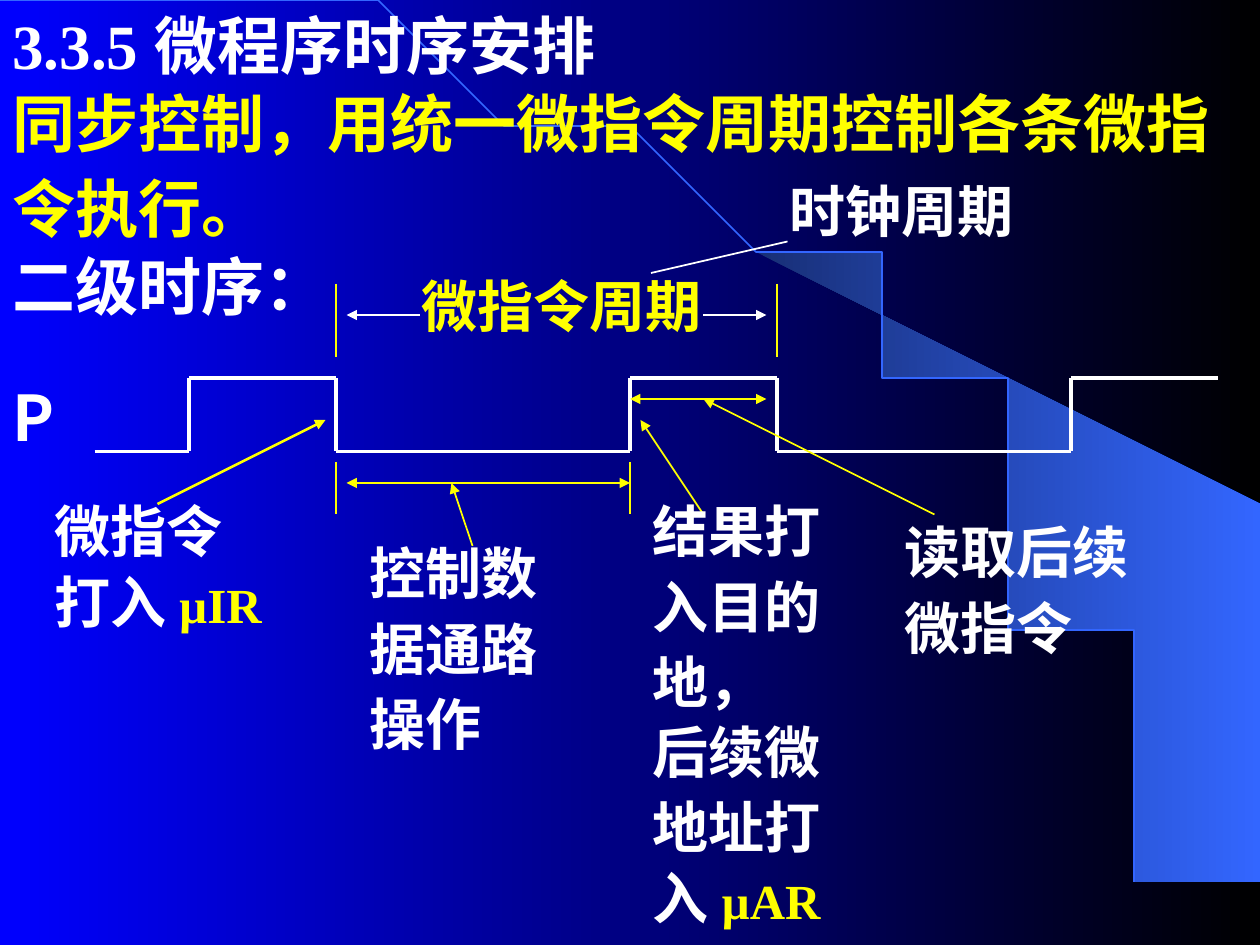
from itertools import pairwise
from math import asin, cos, pi, sin

from lxml import etree
from pptx import Presentation
from pptx.dml.color import RGBColor
from pptx.enum.shapes import MSO_CONNECTOR
from pptx.enum.text import MSO_AUTO_SIZE
from pptx.oxml.ns import qn
from pptx.util import Inches, Pt

STRAIGHT = MSO_CONNECTOR.STRAIGHT
GROW = MSO_AUTO_SIZE.SHAPE_TO_FIT_TEXT

WHITE = RGBColor(0xFF, 0xFF, 0xFF)
YELLOW = RGBColor(0xFF, 0xFF, 0x00)
BLUE = RGBColor(0x00, 0x00, 0xFF)
BLACK = RGBColor(0x00, 0x00, 0x00)
NAVY = RGBColor(0x18, 0x2F, 0x76)
SKY = RGBColor(0x33, 0x66, 0xFF)

SANS = "Noto Sans CJK SC"
SERIF = "Times New Roman"

COLUMNS, ROWS = 120, 90
WIDTH, HEIGHT = Inches(10), Inches(7.5)
ARC_WIDTH, ARC_HEIGHT = 9.2, 7.49
HIGH, LOW = 36, 43
EDGES = [18, 32, 60, 74, 102]


def x_at(column):
    return round(WIDTH * column / COLUMNS)


def y_at(row):
    return round(HEIGHT * row / ROWS)


def fill_gradient(fill, start, end):
    fill.gradient()
    fill.gradient_angle = 0
    for stop, color, position in zip(fill.gradient_stops, (start, end), (0, 1)):
        stop.color.rgb = color
        stop.position = position


def arc_points(start, end, steps=60):
    angles = [start + (end - start) * i / steps for i in range(steps + 1)]
    return [(ARC_WIDTH * sin(a), ARC_HEIGHT * (1 - cos(a))) for a in angles]


def add_outline(slide, points, close):
    builder = slide.shapes.build_freeform(*points[0], scale=Inches(1))
    builder.add_line_segments(points[1:], close=close)
    outline = builder.convert_to_shape()
    outline.shadow.inherit = False
    return outline


def add_backdrop(slide):
    fill_gradient(slide.background.fill, BLUE, BLACK)
    tangent = asin(5.89 / ARC_WIDTH)
    corners = [(9.99, 7.49), (9.99, 4.23)]
    beam = add_outline(slide, arc_points(tangent, pi / 2) + corners, True)
    fill_gradient(beam.fill, NAVY, SKY)
    beam.line.fill.background()
    horizon = add_outline(slide, arc_points(0, pi / 2), False)
    horizon.fill.background()
    horizon.line.color.rgb = SKY
    horizon.line.width = Pt(1)


def add_line(slide, start, end, color, width=1, head=False, tail=False):
    connector = slide.shapes.add_connector(
        STRAIGHT, x_at(start[0]), y_at(start[1]), x_at(end[0]), y_at(end[1]))
    connector.line.color.rgb = color
    connector.line.width = Pt(width)
    stroke = connector.line._get_or_add_ln()
    for tag, present in (("a:headEnd", head), ("a:tailEnd", tail)):
        if present:
            etree.SubElement(stroke, qn(tag), type="triangle")
    etree.SubElement(connector._element.spPr, qn("a:effectLst"))


def format_run(run, size, color, font):
    run.font.size = Pt(size)
    run.font.bold = True
    run.font.color.rgb = color
    run.font.name = font
    etree.SubElement(run.font._element, qn("a:ea"), typeface=SANS)


def add_label(slide, place, lines, size=32, color=WHITE, font=SERIF,
              spacing=0.6, register=None):
    left, top, width, height = place
    label = slide.shapes.add_textbox(x_at(left), y_at(top), x_at(width), y_at(height))
    frame = label.text_frame
    frame.word_wrap = True
    frame.auto_size = GROW
    frame.text = "\n".join(lines)
    for index, paragraph in enumerate(frame.paragraphs):
        paragraph.line_spacing = spacing
        paragraph.space_before = Pt(size * 0.625 if index else 0)
        for run in paragraph.runs:
            format_run(run, size, color, font)
    if register:
        last = frame.paragraphs[-1]
        last.space_before = Pt(17.5)
        run = last.add_run()
        run.text = register
        format_run(run, 28, YELLOW, font)


def add_headings(slide):
    add_label(slide, (0, 10, 131, 13.7),
              ["同步控制，用统一微指令周期控制各条微指", "令执行。"], 36, YELLOW, SANS)
    add_label(slide, (0, 0, 77, 8.4), ["3.3.5 微程序时序安排"], 36, spacing=1.0)
    add_label(slide, (0, 25, 46, 6.2), ["二级时序："], 36, font=SANS, spacing=0.7)


def add_clock(slide):
    add_label(slide, (0, 38, 14, 5.5), ["P"], 36, font=SANS)
    wave, level = [(9, LOW)], LOW
    for edge in EDGES:
        wave.append((edge, level))
        level = HIGH + LOW - level
        wave.append((edge, level))
    wave.append((116, level))
    for start, end in pairwise(wave):
        add_line(slide, start, end, WHITE, 2.25)


def add_periods(slide):
    for column, top, bottom in ((32, 27, 34), (74, 27, 34), (32, 44, 49), (60, 44, 49)):
        add_line(slide, (column, top), (column, bottom), YELLOW)
    add_line(slide, (33, 30), (40, 30), WHITE, head=True)
    add_line(slide, (67, 30), (73, 30), WHITE, tail=True)
    add_line(slide, (33, 46), (60, 46), YELLOW, head=True, tail=True)
    add_line(slide, (60, 38), (73, 38), YELLOW, head=True, tail=True)
    add_line(slide, (62, 26), (75, 23), WHITE)
    add_label(slide, (39, 27, 59, 5.8), ["微指令周期"], color=YELLOW, font=SANS, spacing=0.7)
    add_label(slide, (74, 18, 34, 5.8), ["时钟周期"], font=SANS, spacing=0.7)


def add_steps(slide):
    add_line(slide, (15, 48), (31, 40), YELLOW, 1.5, tail=True)
    add_line(slide, (45, 52), (43, 46), YELLOW, tail=True)
    add_line(slide, (67, 49), (61, 40), YELLOW, tail=True)
    add_line(slide, (89, 49), (67, 38), YELLOW, tail=True)
    add_label(slide, (4, 49, 31, 11.9), ["微指令", "打入 "], register="µIR")
    add_label(slide, (34, 53, 31, 19.4), ["控制数", "据通路", "操作"])
    add_label(slide, (61, 49, 31, 19.4), ["结果打", "入目的", "地，"])
    add_label(slide, (85, 51, 31, 12.2), ["读取后续", "微指令"])
    add_label(slide, (61, 70, 31, 19), ["后续微", "地址打", "入 "], register="µAR")


def main():
    deck = Presentation()
    deck.slide_width, deck.slide_height = WIDTH, HEIGHT
    slide = deck.slides.add_slide(deck.slide_layouts[6])
    add_backdrop(slide)
    add_headings(slide)
    add_clock(slide)
    add_periods(slide)
    add_steps(slide)
    deck.save("out.pptx")


if __name__ == "__main__":
    main()
